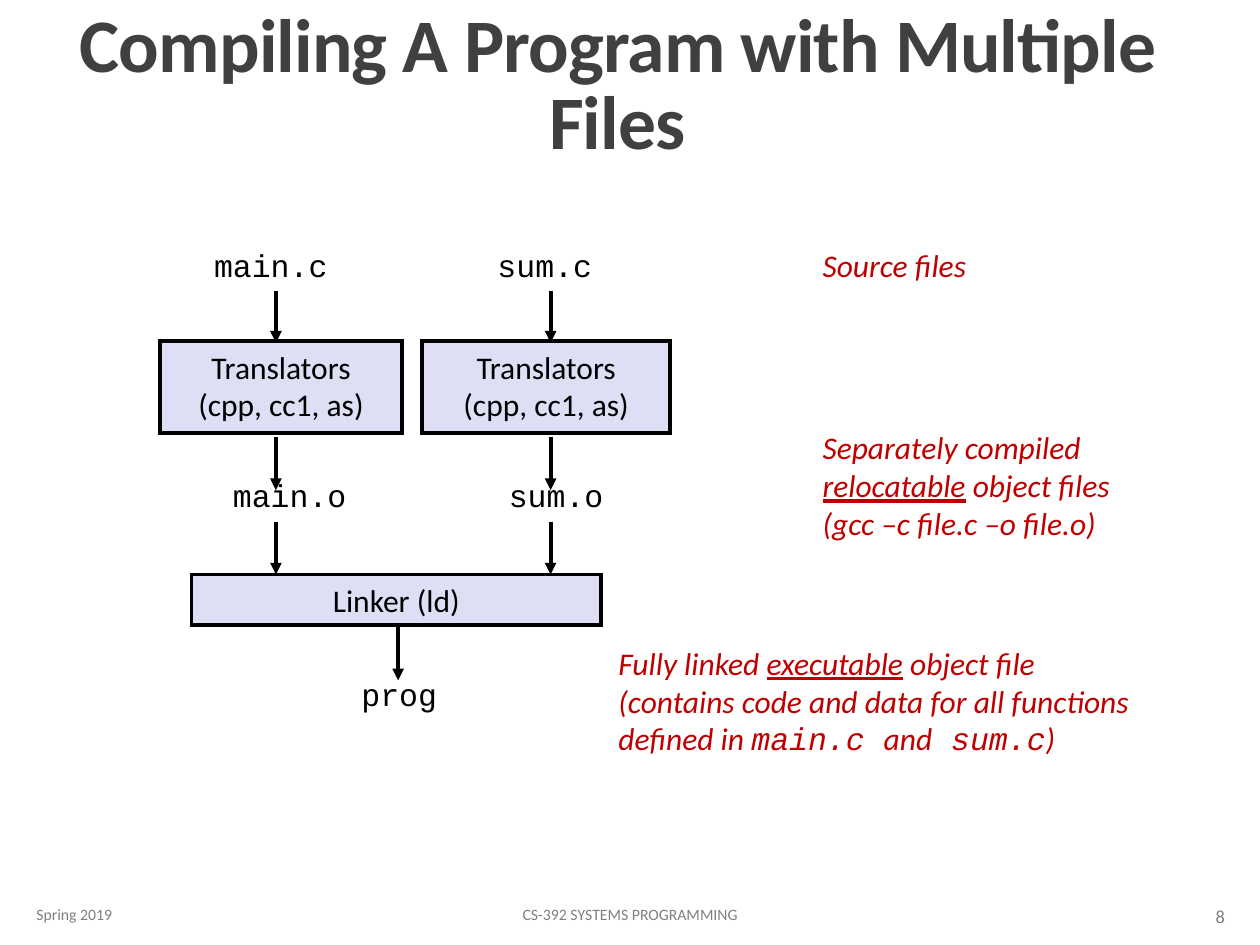
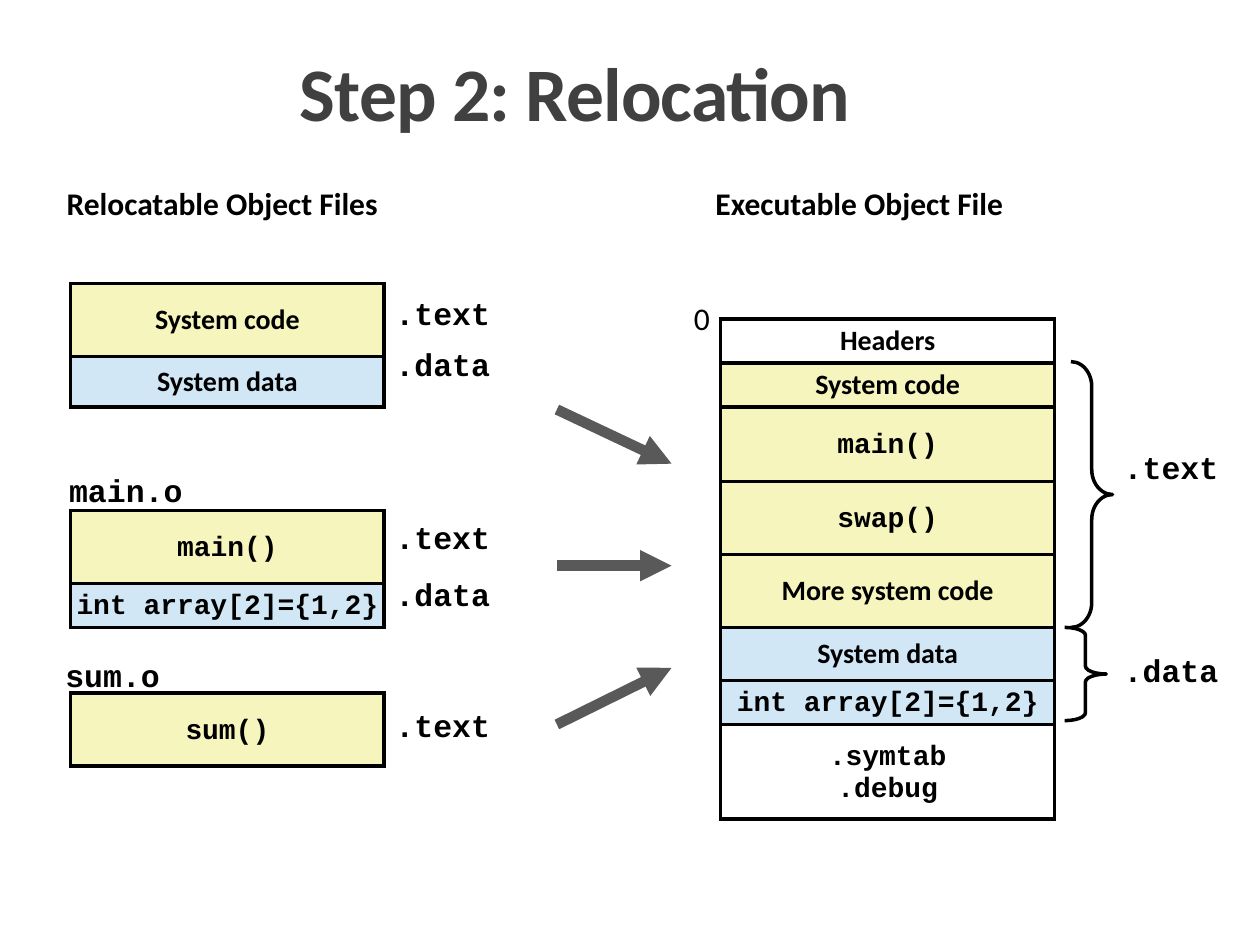
"""Build two slides on compiling, linking and relocating a C program."""

from dataclasses import dataclass

from lxml.etree import SubElement
from pptx import Presentation
from pptx.dml.color import RGBColor
from pptx.enum.shapes import MSO_CONNECTOR, MSO_SHAPE
from pptx.enum.text import MSO_ANCHOR, MSO_AUTO_SIZE, PP_ALIGN
from pptx.oxml.ns import qn
from pptx.util import Inches, Pt


@dataclass(frozen=True)
class Theme:
    sans: str = "Calibri"
    mono: str = "Courier New"
    black: str = "000000"
    white: str = "FFFFFF"
    title: str = "404040"
    footer: str = "808080"
    note: str = "C00000"
    step: str = "DEDFF5"
    code: str = "F6F5BD"
    data: str = "D1E7F6"
    arrow: str = "595959"
    title_size: float = 43.2
    label_size: float = 18
    section_size: float = 16
    footer_size: float = 9
    number_size: float = 10.5
    step_line: float = 2.25
    section_line: float = 2


THEME = Theme()
SPACING = {THEME.sans: 0.98, THEME.mono: 0.94}


def write_text(shape, lines, font=THEME.sans, size=THEME.label_size, color=THEME.black,
               bold=False, italic=False, align=PP_ALIGN.LEFT, anchor=MSO_ANCHOR.TOP,
               spacing=None, wrap=False, fit=MSO_AUTO_SIZE.NONE, tracking=None):
    """Fill a shape with lines; a line is a string or a list of (text, font, underline)."""
    frame = shape.text_frame
    frame.word_wrap = wrap
    frame.auto_size = fit
    frame.vertical_anchor = anchor
    for index, line in enumerate([lines] if isinstance(lines, str) else lines):
        paragraph = frame.add_paragraph() if index else frame.paragraphs[0]
        paragraph.alignment = align
        paragraph.line_spacing = spacing
        for text, face, underline in [(line, font, None)] if isinstance(line, str) else line:
            run = paragraph.add_run()
            run.text = text
            run.font.name = face
            run.font.size = Pt(size)
            run.font.bold = bold
            run.font.italic = italic
            run.font.underline = underline
            run.font.color.rgb = RGBColor.from_string(color)
            if tracking is not None:
                run.font._element.set("spc", str(round(tracking * 100)))


def draw_arrow(slide, start, end, color=THEME.black, width=THEME.step_line):
    """Draw a straight arrow between two points given in inches."""
    connector = slide.shapes.add_connector(
        MSO_CONNECTOR.STRAIGHT, *[Inches(value) for value in (*start, *end)])
    connector.line.color.rgb = RGBColor.from_string(color)
    connector.line.width = Pt(width)
    SubElement(connector.line._get_or_add_ln(), qn("a:tailEnd"), type="triangle")
    SubElement(connector._element.spPr, qn("a:effectLst"))


presentation = Presentation()
presentation.slide_width = Inches(10)
presentation.slide_height = Inches(7.5)

slides = []
for title, place in [
    ("Compiling A Program with Multiple Files", (0.13, 0.33, 9.54, 1.03)),
    ("Step 2: Relocation", (0.41, 0.51, 8.31, 0.63)),
]:
    slide = presentation.slides.add_slide(presentation.slide_layouts[5])
    heading = slide.shapes.title
    heading.left, heading.top, heading.width, heading.height = map(Inches, place)
    write_text(heading, title, size=THEME.title_size, color=THEME.title, bold=True,
               align=PP_ALIGN.CENTER, anchor=MSO_ANCHOR.BOTTOM, spacing=0.85,
               wrap=True, tracking=-0.5)
    slides.append(slide)
compiling, relocation = slides

for text, left, top, width, size, align in [
    ("Spring 2019", 0.19, 7.06, 2.03, THEME.footer_size, PP_ALIGN.LEFT),
    ("CS-392 SYSTEMS PROGRAMMING", 3.02, 7.06, 3.96, THEME.footer_size, PP_ALIGN.CENTER),
    ("8", 8.74, 7.07, 1.08, THEME.number_size, PP_ALIGN.RIGHT),
]:
    footer = compiling.shapes.add_textbox(Inches(left), Inches(top), Inches(width), Inches(0.4))
    write_text(footer, text, size=size, color=THEME.footer, align=align,
               anchor=MSO_ANCHOR.MIDDLE, wrap=True)

boxes = []
translators = ["Translators", "(cpp, cc1, as)"]
for text, left, top, width, height in [
    (translators, 1.27, 2.71, 1.92, 0.73),
    (translators, 3.35, 2.71, 1.97, 0.73),
    ("Linker (ld)", 1.52, 4.56, 3.25, 0.4),
]:
    step = compiling.shapes.add_shape(
        MSO_SHAPE.RECTANGLE, Inches(left), Inches(top), Inches(width), Inches(height))
    write_text(step, text, align=PP_ALIGN.CENTER, wrap=True)
    boxes.append((step, THEME.step, THEME.step_line))

for column in (2.19, 4.37):
    for start, end in [(2.31, 2.72), (3.47, 3.89), (4.14, 4.56)]:
        draw_arrow(compiling, (column, start), (column, end))
draw_arrow(compiling, (3.16, 4.98), (3.16, 5.4))

for text, left, top, width in [
    ("main.c", 1.6, 1.9, 1.11),
    ("main.o", 1.75, 3.73, 1.11),
    ("sum.c", 3.85, 1.9, 0.96),
    ("sum.o", 3.94, 3.73, 0.96),
    ("prog", 2.77, 5.31, 0.81),
]:
    file_name = compiling.shapes.add_textbox(
        Inches(left), Inches(top), Inches(width), Inches(0.4))
    write_text(file_name, text, font=THEME.mono, fit=MSO_AUTO_SIZE.SHAPE_TO_FIT_TEXT)

for lines, left, top, width, height in [
    ("Source files", 6.43, 1.9, 1.44, 0.4),
    (["Separately compiled",
      [("relocatable", THEME.sans, True), (" object files", THEME.sans, None)],
      "(gcc –c file.c –o file.o)"], 6.43, 3.35, 2.51, 1.01),
    ([[("Fully linked ", THEME.sans, None), ("executable", THEME.sans, True),
       (" object file", THEME.sans, None)],
      "(contains code and data for all functions",
      [("defined in ", THEME.sans, None), ("main.c ", THEME.mono, None),
       ("and", THEME.sans, None), (" sum.c", THEME.mono, None),
       (")", THEME.sans, None)]], 4.81, 5.06, 4.46, 1.01),
]:
    note = compiling.shapes.add_textbox(
        Inches(left), Inches(top), Inches(width), Inches(height))
    write_text(note, lines, color=THEME.note, italic=True,
               fit=MSO_AUTO_SIZE.SHAPE_TO_FIT_TEXT)

system_code = ("System code", THEME.sans, THEME.code)
system_data = ("System data", THEME.sans, THEME.data)
main_code = ("main()", THEME.mono, THEME.code)
array_data = ("int array[2]={1,2}", THEME.mono, THEME.data)
for left, top, width, sections in [
    (0.56, 2.25, 2.49, [(0.58, system_code), (0.4, system_data)]),
    (0.56, 4.05, 2.49, [(0.58, main_code), (0.35, array_data)]),
    (0.56, 5.5, 2.49, [(0.58, ("sum()", THEME.mono, THEME.code))]),
    (5.72, 2.53, 2.65, [
        (0.35, ("Headers", THEME.sans, THEME.white)),
        (0.35, system_code),
        (0.59, main_code),
        (0.58, ("swap()", THEME.mono, THEME.code)),
        (0.58, ("More system code", THEME.sans, THEME.code)),
        (0.42, system_data),
        (0.35, array_data),
        (0.75, ([".symtab", ".debug"], THEME.mono, THEME.white)),
    ]),
]:
    for height, (text, font, fill) in sections:
        section = relocation.shapes.add_shape(
            MSO_SHAPE.RECTANGLE, Inches(left), Inches(top), Inches(width), Inches(height))
        write_text(section, text, font=font, size=THEME.section_size, bold=True,
                   align=PP_ALIGN.CENTER, anchor=MSO_ANCHOR.MIDDLE, spacing=SPACING[font])
        boxes.append((section, fill, THEME.section_line))
        top += height

for box, fill, line_width in boxes:
    box.shadow.inherit = False
    box.fill.solid()
    box.fill.fore_color.rgb = RGBColor.from_string(fill)
    box.line.color.rgb = RGBColor.from_string(THEME.black)
    box.line.width = Pt(line_width)
    SubElement(box.line._get_or_add_ln(), qn("a:miter"), lim="800000")

for text, left, top, width, font, bold in [
    ("Relocatable Object Files", 0.43, 1.43, 3.53, THEME.sans, True),
    ("Executable Object File", 5.58, 1.43, 3.28, THEME.sans, True),
    ("0", 5.41, 2.34, 0.34, THEME.sans, False),
    ("main.o", 0.45, 3.71, 1.1, THEME.mono, True),
    ("sum.o", 0.42, 5.18, 0.96, THEME.mono, True),
    (".text", 3.04, 2.31, 0.95, THEME.mono, True),
    (".data", 3.04, 2.71, 0.95, THEME.mono, True),
    (".text", 3.04, 4.09, 0.95, THEME.mono, True),
    (".data", 3.04, 4.54, 0.95, THEME.mono, True),
    (".text", 3.04, 5.58, 0.95, THEME.mono, True),
    (".text", 8.82, 3.53, 0.95, THEME.mono, True),
    (".data", 8.82, 5.14, 0.95, THEME.mono, True),
]:
    label = relocation.shapes.add_textbox(
        Inches(left), Inches(top), Inches(width), Inches(0.4))
    write_text(label, text, font=font, bold=bold, spacing=SPACING[font],
               fit=MSO_AUTO_SIZE.SHAPE_TO_FIT_TEXT)

for left, top, height, curve in [(8.5, 2.87, 2.11, 0.6), (8.45, 4.98, 0.74, 0.19)]:
    brace = relocation.shapes.add_shape(
        MSO_SHAPE.RIGHT_BRACE, Inches(left), Inches(top), Inches(0.33), Inches(height))
    brace.shadow.inherit = False
    brace.adjustments[0] = curve
    brace.fill.background()
    brace.line.color.rgb = RGBColor.from_string(THEME.black)
    brace.line.width = Pt(THEME.section_line)

for start, end in [(3.25, 3.68), (4.49, 4.49), (5.75, 5.3)]:
    draw_arrow(relocation, (4.42, start), (5.33, end), color=THEME.arrow, width=6)

presentation.save("out.pptx")
